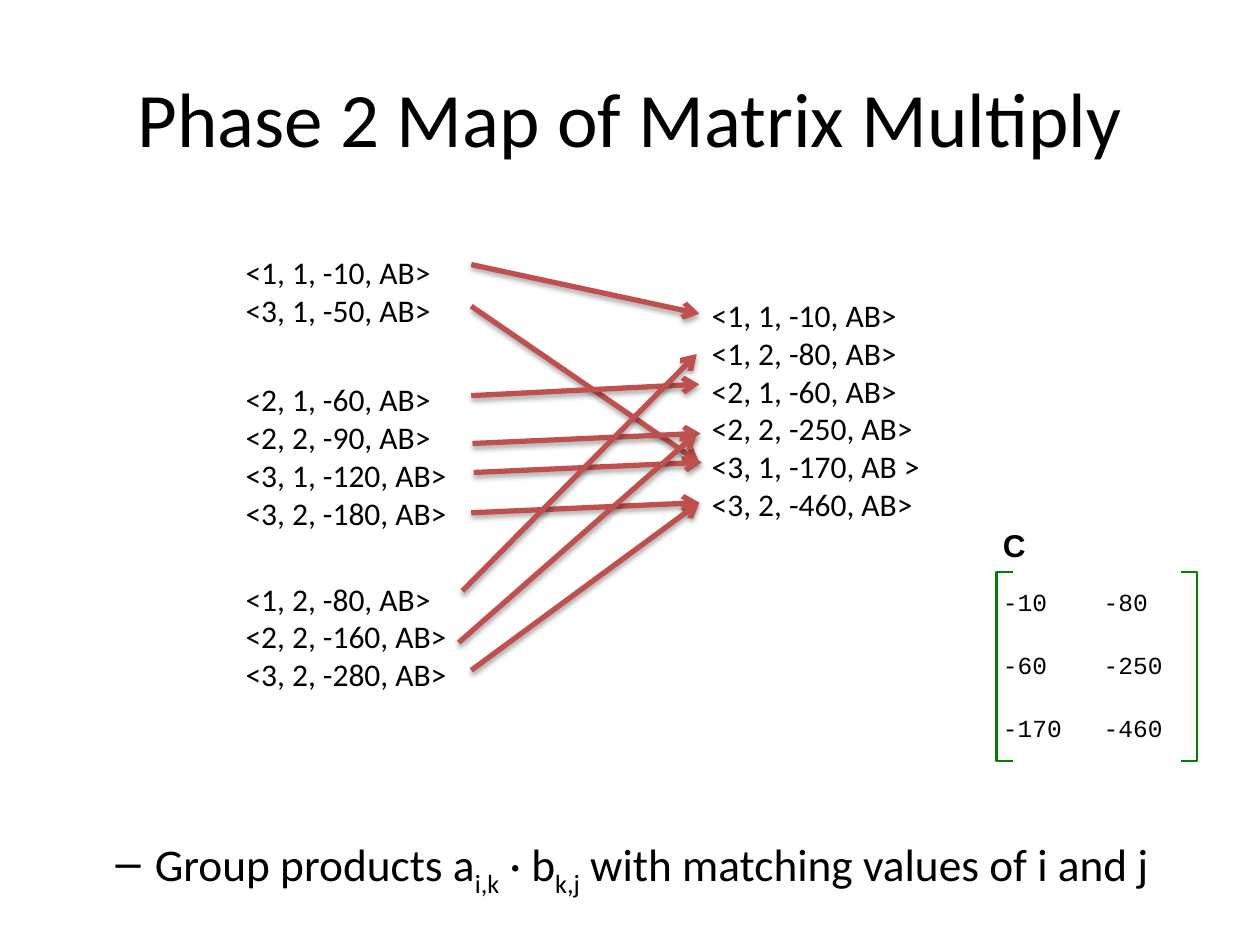
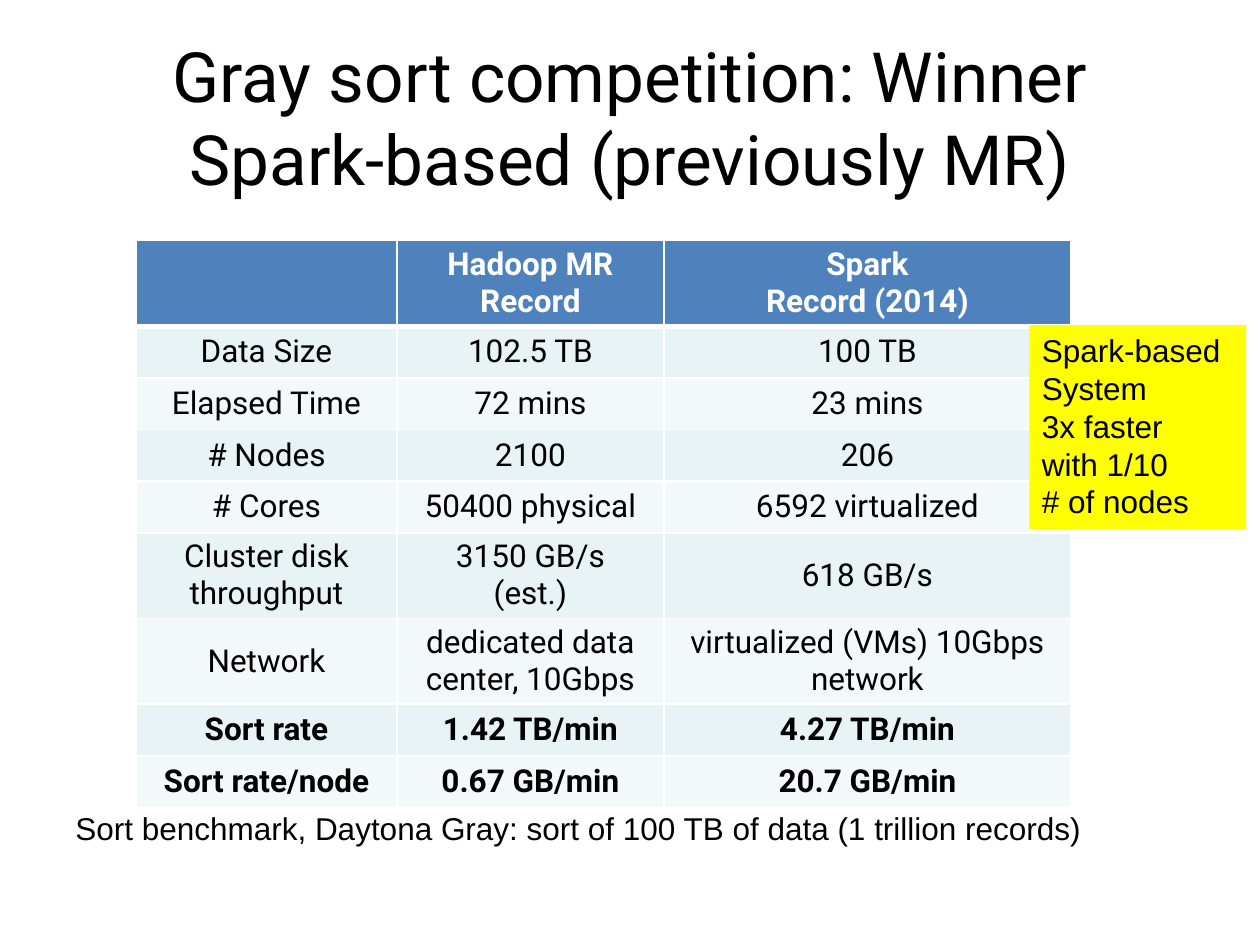
from dataclasses import dataclass
from lxml.etree import SubElement
from pptx import Presentation
from pptx.dml.color import RGBColor
from pptx.enum.shapes import MSO_CONNECTOR as Connector, MSO_SHAPE as Preset
from pptx.enum.text import MSO_ANCHOR as Anchor, MSO_AUTO_SIZE as AutoSize, PP_ALIGN as Align
from pptx.oxml.ns import qn
from pptx.util import Pt

PX = 9144  # 100 px to the inch


@dataclass(frozen=True)
class Theme:
    ink: str = "000000"
    paper: str = "FFFFFF"
    arrow: str = "C0504D"
    bracket: str = "008000"
    header: str = "4F81BD"
    bands: tuple = ("E7F3F4", "F3F9FA")
    note: str = "FFFF00"
    sans: str = "Calibri"
    plain: str = "Arial"
    display: str = "Roboto"
    mono: str = "Courier New"
    title_size: float = 44
    long_title_size: float = 39.6
    bullet_size: float = 25.9
    text_size: float = 18
    matrix_size: float = 14


theme = Theme()
TITLE_BOX = (50, 30, 900, 125)


def add_span(para, text, size, font, color=theme.ink, bold=False):
    """Add text as runs of one style; a newline becomes a line break."""
    for index, part in enumerate(text.split("\n")):
        if index:
            para.add_line_break()
        span = para.add_run()
        span.text = part
        span.font.size = Pt(size)
        span.font.name = font
        span.font.bold = bold
        span.font.color.rgb = RGBColor.from_string(color)
    return span


def add_text(page, box, lines, size, font, bold=False, align=Align.LEFT,
             anchor=Anchor.TOP, wrap=False, grow=True, inset=None, spacing=None, fill=None):
    """Add a text box, or a filled rectangle, with one paragraph per line."""
    place = [value * PX for value in box]
    if fill:
        shape = page.shapes.add_shape(Preset.RECTANGLE, *place)
        shape.shadow.inherit = False
        shape.fill.solid()
        shape.fill.fore_color.rgb = RGBColor.from_string(fill)
        shape.line.fill.background()
    else:
        shape = page.shapes.add_textbox(*place)
    frame = shape.text_frame
    frame.word_wrap = wrap
    frame.auto_size = AutoSize.SHAPE_TO_FIT_TEXT if grow else AutoSize.NONE
    frame.vertical_anchor = anchor
    if inset is not None:
        frame.margin_left = frame.margin_right = inset * PX
        frame.margin_top = frame.margin_bottom = inset * PX
    for index, line in enumerate(lines):
        para = frame.add_paragraph() if index else frame.paragraphs[0]
        para.alignment = align
        if spacing:
            para.line_spacing = spacing
        add_span(para, line, size, font, bold=bold)
    return frame


deck = Presentation()
deck.slide_width, deck.slide_height = 1000 * PX, 750 * PX
blank = deck.slide_layouts[6]
title_style = dict(align=Align.CENTER, anchor=Anchor.MIDDLE, wrap=True, grow=False)

# Slide 1: map of matrix multiply
page = deck.slides.add_slide(blank)
add_text(page, TITLE_BOX, ["Phase 2 Map of Matrix Multiply"],
         theme.title_size, theme.sans, **title_style)

bullet = add_text(page, (32, 659, 908, 46), ["Group products a"],
                  theme.bullet_size, theme.sans, wrap=True, grow=False).paragraphs[0]
bullet_props = bullet._p.get_or_add_pPr()
bullet_props.set("marL", str(81 * PX))
bullet_props.set("indent", str(-31 * PX))
SubElement(bullet_props, qn("a:buChar")).set("char", "–")
for text, baseline in (("i,k", -25), (" · b", 0), ("k,j", -25),
                       (" with matching values of i and j", 0)):
    span = add_span(bullet, text, theme.bullet_size, theme.sans)
    span._r.get_or_add_rPr().set("baseline", str(baseline * 1000))

tuple_lists = [
    ((185, 196, 169, 71), ["<1, 1, -10, AB>", "<3, 1, -50, AB>"]),
    ((185, 297, 182, 131), ["<2, 1, -60, AB>", "<2, 2, -90, AB>",
                            "<3, 1, -120, AB>", "<3, 2, -180, AB>"]),
    ((185, 455, 185, 101), ["<1, 2, -80, AB>", "<2, 2, -160, AB>", "<3, 2, -280, AB>"]),
    ((555, 230, 187, 192), ["<1, 1, -10, AB>", "<1, 2, -80, AB>", "<2, 1, -60, AB>",
                            "<2, 2, -250, AB>", "<3, 1, -170, AB >", "<3, 2, -460, AB>"]),
]
for box, lines in tuple_lists:
    add_text(page, box, lines, theme.text_size, theme.sans)

arrows = [
    (374, 210, 555, 249), (374, 243, 555, 367), (374, 314, 555, 305),
    (375, 352, 556, 344), (376, 375, 557, 367), (374, 407, 555, 399),
    (367, 469, 553, 281), (374, 532, 555, 399), (364, 510, 553, 344),
]
for ends in arrows:
    arrow = page.shapes.add_connector(Connector.STRAIGHT, *(value * PX for value in ends))
    arrow.line.color.rgb = RGBColor.from_string(theme.arrow)
    arrow.line.width = Pt(3)
    props = arrow._element.spPr
    SubElement(props.find(qn("a:ln")), qn("a:tailEnd")).set("type", "arrow")
    effects = SubElement(props, qn("a:effectLst"))
    shadow = SubElement(effects, qn("a:outerShdw"), blurRad=str(Pt(3.1)), dist=str(Pt(1.8)),
                        dir="5400000", rotWithShape="0")
    shadow_color = SubElement(shadow, qn("a:srgbClr"), val=theme.ink)
    SubElement(shadow_color, qn("a:alpha"), val="35000")

matrix = [("-10", "-80"), ("-60", "-250"), ("-170", "-460")]
left, top, right, bottom = 791, 454, 950, 604
for row, values in enumerate(matrix):
    for column, value in enumerate(values):
        add_text(page, (left + 80 * column, top + 50 * row, 79, 50), [value],
                 theme.matrix_size, theme.mono, anchor=Anchor.MIDDLE, grow=False,
                 inset=5, spacing=0.9)
for side, tip in ((right, right - 13), (left, left + 13)):
    outline = page.shapes.build_freeform(tip, top, scale=PX)
    outline.add_line_segments([(side, top), (side, bottom), (tip, bottom)], close=False)
    bracket = outline.convert_to_shape()
    bracket.shadow.inherit = False
    bracket.fill.background()
    bracket.line.color.rgb = RGBColor.from_string(theme.bracket)
    bracket.line.width = Pt(1.5)
add_text(page, (left, 416, 159, 37), ["C"], theme.text_size, theme.plain,
         bold=True, wrap=True, inset=5, spacing=0.9)

# Slide 2: sort competition
page = deck.slides.add_slide(blank)
add_text(page, TITLE_BOX, ["Gray sort competition: Winner Spark-based (previously MR)"],
         theme.long_title_size, theme.display, **title_style)

records = [
    ("", "Hadoop MR\nRecord", "Spark\nRecord (2014)"),
    ("Data Size", "102.5 TB", "100 TB"),
    ("Elapsed Time", "72 mins", "23 mins"),
    ("# Nodes", "2100", "206"),
    ("# Cores", "50400 physical", "6592 virtualized"),
    ("Cluster disk throughput", "3150 GB/s\n(est.)", "618 GB/s"),
    ("Network", "dedicated data center, 10Gbps", "virtualized (VMs) 10Gbps network"),
    ("Sort rate", "1.42 TB/min", "4.27 TB/min"),
    ("Sort rate/node", "0.67 GB/min", "20.7 GB/min"),
]
tall_rows = (0, 5, 6)
bold_rows = (0, 7, 8)
table = page.shapes.add_table(len(records), 3, 108 * PX, 191 * PX, 742 * PX, 449 * PX).table
for column, width in zip(table.columns, (207, 212, 323)):
    column.width = width * PX
for row, values in enumerate(records):
    table.rows[row].height = (68 if row in tall_rows else 41) * PX
    fill = theme.bands[(row - 1) % 2] if row else theme.header
    for column, value in enumerate(values):
        cell = table.cell(row, column)
        cell.margin_left = cell.margin_right = cell.margin_top = cell.margin_bottom = 4 * PX
        cell.vertical_anchor = Anchor.MIDDLE
        cell_props = cell._tc.get_or_add_tcPr()
        for edge in "LRTB":
            thick = (row, edge) in ((0, "B"), (1, "T"))
            border = SubElement(cell_props, qn(f"a:ln{edge}"), w=str(Pt(3 if thick else 1)))
            SubElement(SubElement(border, qn("a:solidFill")), qn("a:srgbClr"), val=theme.paper)
        cell.fill.solid()
        cell.fill.fore_color.rgb = RGBColor.from_string(fill)
        if value:
            para = cell.text_frame.paragraphs[0]
            para.alignment = Align.CENTER
            add_span(para, value, theme.text_size, theme.display,
                     theme.ink if row else theme.paper, row in bold_rows)

add_text(page, (50, 637, 886, 40),
         ["Sort benchmark, Daytona Gray: sort of 100 TB of data (1 trillion records)"],
         theme.text_size, theme.plain)
add_text(page, (817, 258, 172, 162),
         ["Spark-based", "System", "3x faster", "with 1/10", "# of nodes"],
         theme.text_size, theme.plain, fill=theme.note)

deck.save("out.pptx")
